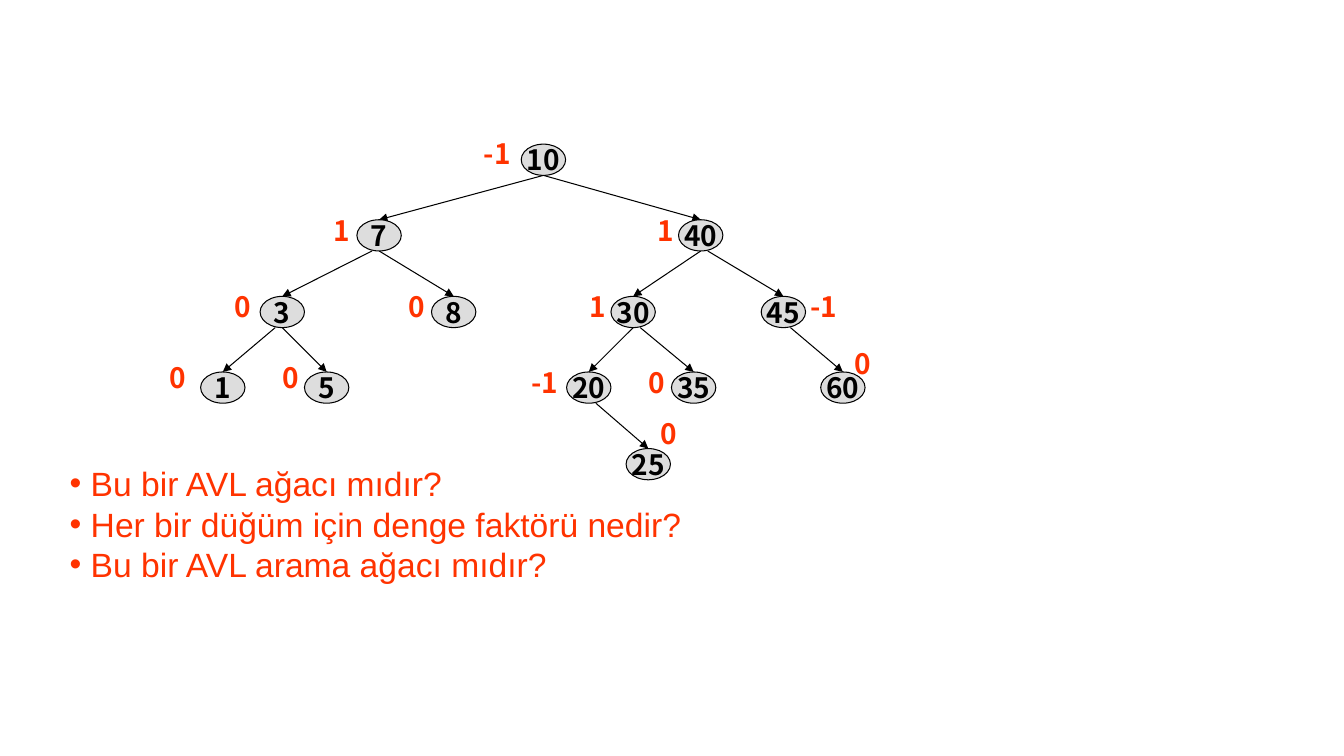
from dataclasses import dataclass

from lxml.etree import SubElement
from pptx import Presentation
from pptx.dml.color import RGBColor
from pptx.enum.shapes import MSO_CONNECTOR as Connector, MSO_SHAPE as Shape
from pptx.enum.text import MSO_ANCHOR as Anchor, MSO_AUTO_SIZE as AutoSize, PP_ALIGN as Align
from pptx.oxml.ns import qn
from pptx.slide import Slide
from pptx.util import Pt

PX = 9144
NODE_W, NODE_H = 44, 31
ROOT_TOP = 143
TWO_LEVELS = 151
LABEL_H = 43
BULLET_INDENT = 21
TREE_FONT, QUESTION_FONT = "Noto Sans CJK KR", "Arial"
COLORS = {"node": "DDDDDD", "ink": "000000", "accent": "FF3300"}


@dataclass(frozen=True)
class Node:
    key: int
    level: int
    center: int
    balance: int
    label_left: int
    label_top: int

    @property
    def top(self) -> int:
        return ROOT_TOP + self.level * TWO_LEVELS // 2


@dataclass(frozen=True)
class Edge:
    parent: int
    child: int
    start_shift: int = 0


NODES = [
    Node(10, 0, 539, -1, 470, 131),
    Node(40, 1, 695, 1, 642, 207),
    Node(30, 2, 628, 1, 575, 282),
    Node(45, 2, 777, -1, 794, 282),
    Node(20, 3, 584, -1, 517, 358),
    Node(35, 3, 688, 0, 633, 358),
    Node(25, 4, 643, 0, 645, 408),
    Node(60, 3, 836, 0, 838, 339),
    Node(7, 1, 376, 1, 321, 207),
    Node(3, 2, 280, 0, 223, 282),
    Node(8, 2, 450, 0, 395, 282),
    Node(1, 3, 221, 0, 158, 353),
    Node(5, 3, 324, 0, 270, 353),
]

EDGES = [
    Edge(10, 7), Edge(10, 40), Edge(7, 3, -7), Edge(7, 8),
    Edge(40, 30), Edge(3, 1, -7), Edge(3, 5), Edge(30, 20),
    Edge(30, 35, 7), Edge(40, 45, 7), Edge(45, 60, 7), Edge(20, 25, 7),
]

QUESTIONS = [
    "Bu bir AVL ağacı mıdır?",
    "Her bir düğüm için denge faktörü nedir?",
    "Bu bir AVL arama ağacı mıdır?",
]


def color(name: str) -> RGBColor:
    return RGBColor.from_string(COLORS[name])


def style_font(font, face: str, size: int, ink: str, bold: bool) -> None:
    font.name, font.size, font.bold = face, Pt(size), bold
    font.color.rgb = color(ink)


def draw_edge(slide: Slide, edge: Edge, by_key: dict[int, Node]) -> None:
    parent, child = by_key[edge.parent], by_key[edge.child]
    arrow = slide.shapes.add_connector(
        Connector.STRAIGHT,
        (parent.center + edge.start_shift) * PX, (parent.top + NODE_H) * PX,
        child.center * PX, child.top * PX,
    )
    arrow.line.color.rgb = color("ink")
    arrow.line.width = Pt(0.75)
    SubElement(arrow.line._get_or_add_ln(), qn("a:tailEnd"), type="triangle")
    SubElement(arrow._element.spPr, qn("a:effectLst"))


def draw_node(slide: Slide, node: Node) -> None:
    oval = slide.shapes.add_shape(
        Shape.OVAL, (node.center - NODE_W // 2) * PX, node.top * PX, NODE_W * PX, NODE_H * PX
    )
    oval.shadow.inherit = False
    oval.fill.solid()
    oval.fill.fore_color.rgb = color("node")
    oval.line.color.rgb = color("ink")
    oval.line.width = Pt(0.75)
    frame = oval.text_frame
    frame.word_wrap = False
    frame.vertical_anchor = Anchor.MIDDLE
    frame.text = str(node.key)
    key_line = frame.paragraphs[0]
    key_line.alignment = Align.CENTER
    style_font(key_line.font, TREE_FONT, 20, "ink", True)


def draw_balance(slide: Slide, node: Node) -> None:
    width = 53 if node.balance < 0 else 36
    label = slide.shapes.add_textbox(
        node.label_left * PX, node.label_top * PX, width * PX, LABEL_H * PX
    )
    frame = label.text_frame
    frame.word_wrap = False
    frame.auto_size = AutoSize.SHAPE_TO_FIT_TEXT
    frame.text = str(node.balance)
    style_font(frame.paragraphs[0].font, TREE_FONT, 20, "accent", True)


def write_questions(slide: Slide) -> None:
    body = slide.placeholders[1]
    body.left, body.top, body.width, body.height = 59 * PX, 454 * PX, 906 * PX, 131 * PX
    frame = body.text_frame
    frame.text = "\n".join(QUESTIONS)
    frame.word_wrap = True
    frame.auto_size = AutoSize.SHAPE_TO_FIT_TEXT
    frame.vertical_anchor = Anchor.TOP
    for question in frame.paragraphs:
        question.alignment = Align.LEFT
        question.space_before = question.space_after = Pt(0)
        question.line_spacing = Pt(29)
        style_font(question.font, QUESTION_FONT, 24, "accent", False)
        properties = question._p.get_or_add_pPr()
        properties.set("marL", str(BULLET_INDENT * PX))
        properties.set("indent", str(-BULLET_INDENT * PX))
        bullet = properties.makeelement(qn("a:buChar"), {"char": "•"})
        properties.find(qn("a:defRPr")).addprevious(bullet)


def main() -> None:
    deck = Presentation()
    deck.slide_width, deck.slide_height = 1333 * PX, 750 * PX
    slide = deck.slides.add_slide(deck.slide_layouts[1])
    title = slide.shapes.title._element
    title.getparent().remove(title)
    by_key = {node.key: node for node in NODES}
    for edge in EDGES:
        draw_edge(slide, edge, by_key)
    for node in NODES:
        draw_node(slide, node)
    write_questions(slide)
    for node in NODES:
        draw_balance(slide, node)
    deck.save("out.pptx")


if __name__ == "__main__":
    main()
